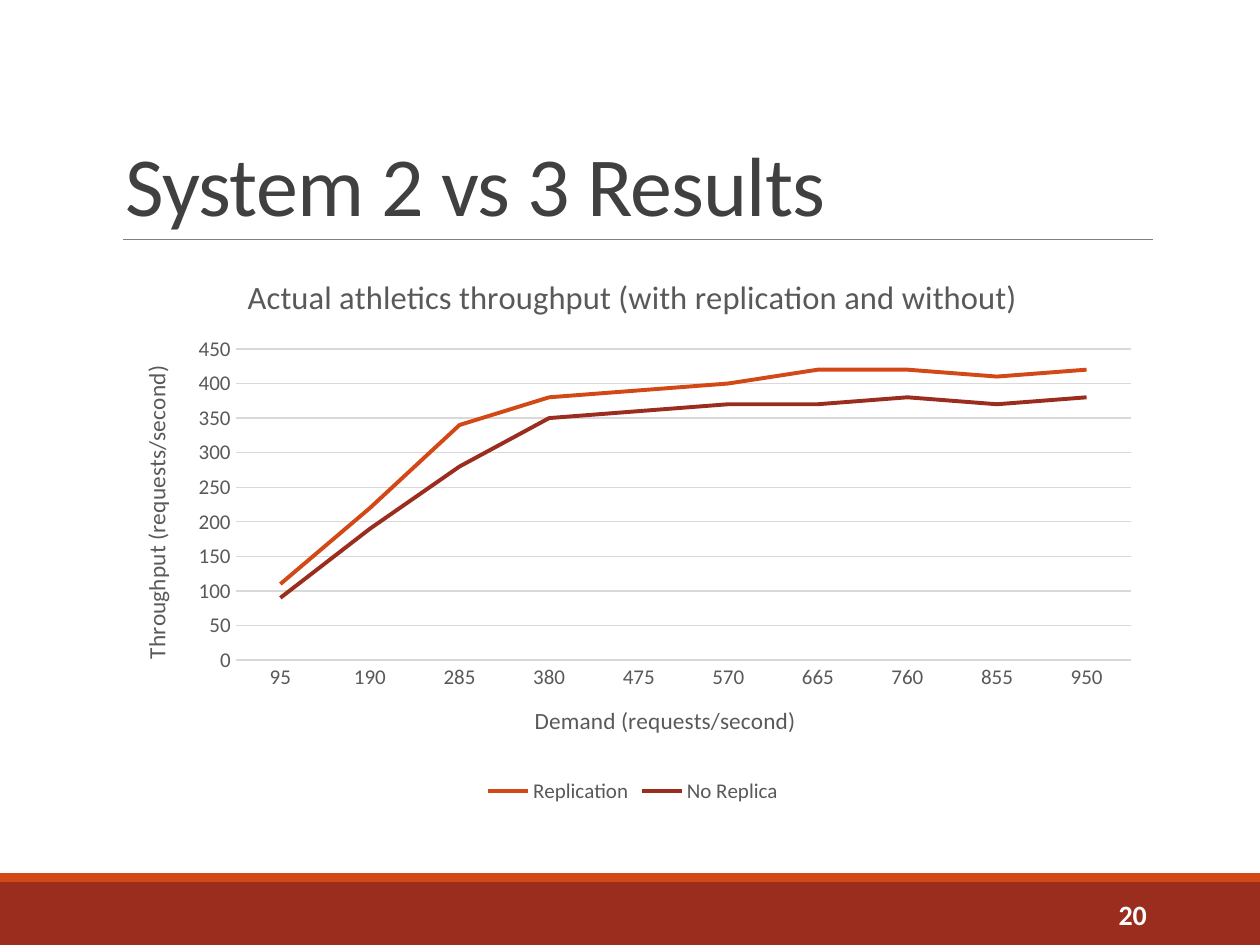
from dataclasses import dataclass

from lxml.etree import SubElement
from pptx import Presentation
from pptx.chart.data import CategoryChartData
from pptx.dml.color import RGBColor
from pptx.enum.chart import XL_CHART_TYPE, XL_LEGEND_POSITION, XL_TICK_MARK
from pptx.enum.shapes import MSO_CONNECTOR, MSO_SHAPE
from pptx.enum.text import MSO_ANCHOR, PP_ALIGN
from pptx.oxml import parse_xml
from pptx.oxml.ns import nsdecls, qn
from pptx.util import Inches, Pt

FONT = "Calibri"
RUST, ORANGE, GRAY, GRID = "9B2D1F", "D34817", "595959", "D9D9D9"
CHART_WIDTH, CHART_HEIGHT = 8.25, 4.4


@dataclass
class Band:
    top: float
    height: float
    color: str


@dataclass
class Label:
    text: str
    box: tuple[float, float, float, float]
    size: float
    color: str
    anchor: MSO_ANCHOR
    alignment: PP_ALIGN
    bold: bool = False
    line_spacing: float = 1.0
    letter_spacing: int = 0


@dataclass
class Series:
    name: str
    color: str
    values: tuple[int, ...]


BANDS = [Band(7, 0.5, RUST), Band(6.93, 0.07, ORANGE)]
LABELS = [
    Label("System 2 vs 3 Results", (0.9, 0.31, 8.25, 1.59), 48, "404040",
          MSO_ANCHOR.BOTTOM, PP_ALIGN.LEFT, line_spacing=0.85, letter_spacing=-50),
    Label("20", (8.12, 7.06, 1.08, 0.4), 16, "FFFFFF",
          MSO_ANCHOR.MIDDLE, PP_ALIGN.RIGHT, bold=True),
]
DEMAND = [str(95 * step) for step in range(1, 11)]
SERIES = [
    Series("Replication", ORANGE, (110, 220, 340, 380, 390, 400, 420, 420, 410, 420)),
    Series("No Replica", RUST, (90, 190, 280, 350, 360, 370, 370, 380, 370, 380)),
]


def rgb(color: str) -> RGBColor:
    return RGBColor.from_string(color)


def set_font(font, size: float, color: str, bold: bool = False) -> None:
    values = {"name": FONT, "size": Pt(size), "bold": bold}
    for name, value in values.items():
        setattr(font, name, value)
    font.color.rgb = rgb(color)


def set_line(line, color: str, width: float) -> None:
    line.color.rgb = rgb(color)
    line.width = Pt(width)


def add_band(slide, band: Band) -> None:
    shape = slide.shapes.add_shape(MSO_SHAPE.RECTANGLE, 0, Inches(band.top),
                                   Inches(10), Inches(band.height))
    shape.shadow.inherit = False
    shape.fill.solid()
    shape.fill.fore_color.rgb = rgb(band.color)
    shape.line.fill.background()


def add_rule(slide) -> None:
    rule = slide.shapes.add_connector(MSO_CONNECTOR.STRAIGHT, Inches(0.98), Inches(1.9),
                                      Inches(9.15), Inches(1.9))
    set_line(rule.line, "808080", 0.5)
    SubElement(rule._element.spPr, qn("a:effectLst"))


def add_label(slide, label: Label) -> None:
    shape = slide.shapes.add_textbox(*map(Inches, label.box))
    frame = shape.text_frame
    frame.word_wrap = True
    frame.vertical_anchor = label.anchor
    paragraph = frame.paragraphs[0]
    paragraph.alignment = label.alignment
    paragraph.line_spacing = label.line_spacing
    run = paragraph.add_run()
    run.text = label.text
    set_font(run.font, label.size, label.color, label.bold)
    if label.letter_spacing:
        run._r.get_or_add_rPr().set("spc", str(label.letter_spacing))


def place(element, inner: bool = False, **inches: float) -> None:
    """Position a chart part by inches within the chart area."""
    for layout in element.findall(qn("c:layout")):
        element.remove(layout)
    extents = {"x": CHART_WIDTH, "y": CHART_HEIGHT, "w": CHART_WIDTH, "h": CHART_HEIGHT}
    target = '<c:layoutTarget val="inner"/>' if inner else ""
    modes = "".join(f'<c:{name}Mode val="edge"/>' for name in ("x", "y"))
    values = "".join(f'<c:{name} val="{length / extents[name]:.4f}"/>'
                     for name, length in inches.items())
    layout = parse_xml(f'<c:layout {nsdecls("c")}><c:manualLayout>{target}{modes}{values}'
                       "</c:manualLayout></c:layout>")
    element.insert(0 if element.find(qn("c:tx")) is None else 1, layout)


def set_title(title, text: str, size: float, x: float, y: float) -> None:
    frame = title.text_frame
    frame.text = text
    set_font(frame.paragraphs[0].runs[0].font, size, GRAY)
    place(title._element, x=x, y=y)


def add_throughput_chart(slide) -> None:
    data = CategoryChartData()
    data.categories = DEMAND
    for series in SERIES:
        data.add_series(series.name, series.values)
    chart = slide.shapes.add_chart(XL_CHART_TYPE.LINE, Inches(0.9), Inches(2.02),
                                   Inches(CHART_WIDTH), Inches(CHART_HEIGHT), data).chart
    set_font(chart.font, 12, GRAY)
    place(chart._chartSpace.chart.plotArea, inner=True, x=0.97, y=0.75, w=7.11, h=2.47)

    # Series lines
    plot = chart.plots[0]
    plot.vary_by_categories = False
    for line, series in zip(plot.series, SERIES):
        line.smooth = False
        set_line(line.format.line, series.color, 2.25)

    # Axes
    demand, throughput = chart.category_axis, chart.value_axis
    for axis in (demand, throughput):
        axis.major_tick_mark = axis.minor_tick_mark = XL_TICK_MARK.NONE
        set_font(axis.tick_labels.font, 12, GRAY)
    set_line(demand.format.line, GRID, 0.75)
    throughput.format.line.fill.background()
    set_line(throughput.major_gridlines.format.line, GRID, 0.75)
    scale = {"minimum_scale": 0, "maximum_scale": 450, "major_unit": 50}
    for name, value in scale.items():
        setattr(throughput, name, value)

    # Titles and legend
    set_title(chart.chart_title, "Actual athletics throughput (with replication and without)",
              18.6, 1.02, 0.11)
    set_title(demand.axis_title, "Demand (requests/second)", 13.3, 3.31, 3.54)
    set_title(throughput.axis_title, "Throughput (requests/second)", 13.3, 0.18, 0.85)
    body = next(throughput.axis_title._element.iter(qn("a:bodyPr")))
    for name, value in {"rot": "-5400000", "vert": "horz"}.items():
        body.set(name, value)
    chart.has_legend = True
    chart.legend.position = XL_LEGEND_POSITION.BOTTOM
    chart.legend.include_in_layout = False
    set_font(chart.legend.font, 12, GRAY)


def main() -> None:
    presentation = Presentation()
    presentation.slide_width, presentation.slide_height = Inches(10), Inches(7.5)
    slide = presentation.slides.add_slide(presentation.slide_layouts[6])
    for band in BANDS:
        add_band(slide, band)
    add_rule(slide)
    title, page_number = LABELS
    add_label(slide, title)
    add_throughput_chart(slide)
    add_label(slide, page_number)
    presentation.save("out.pptx")


if __name__ == "__main__":
    main()
